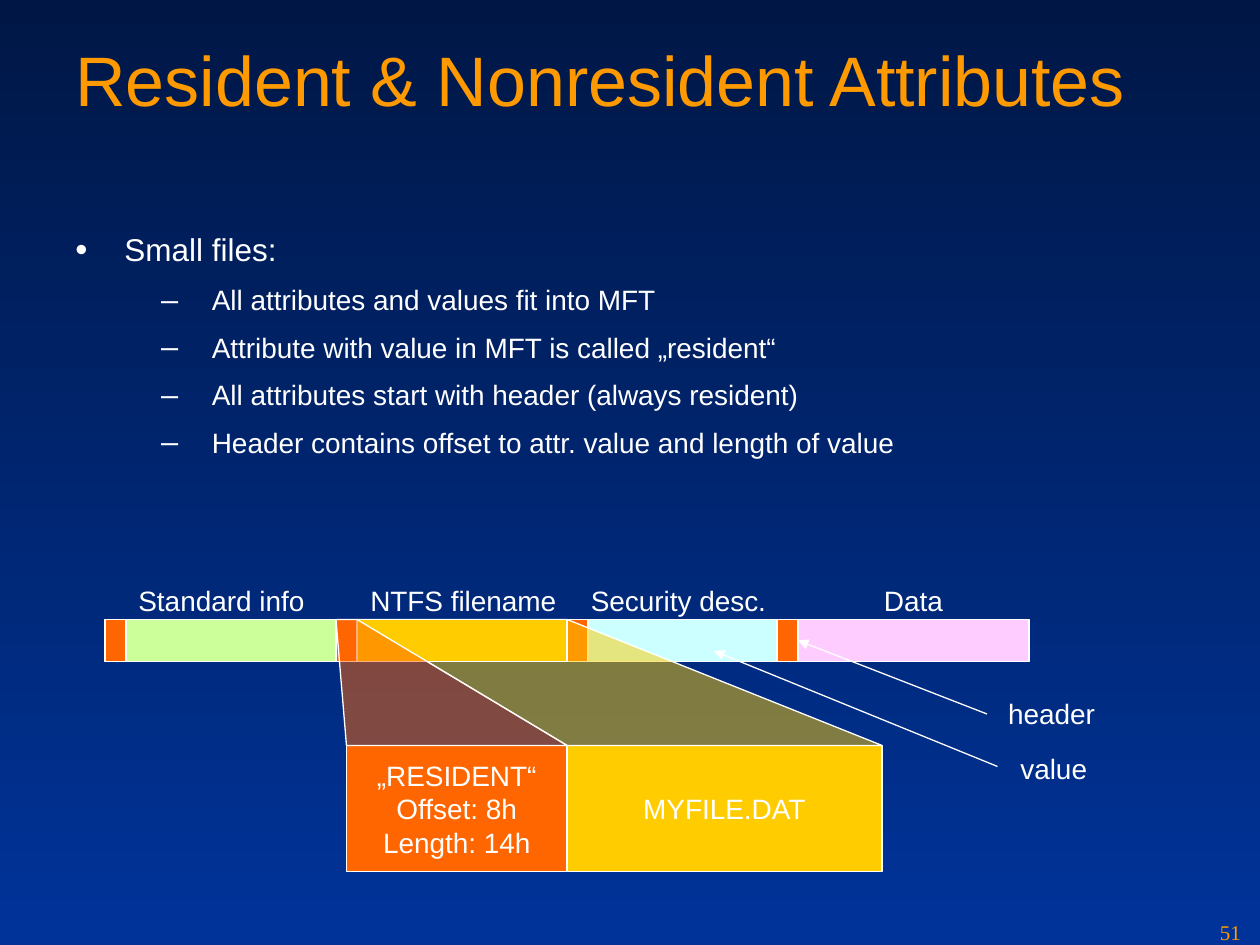
from lxml import etree
from pptx import Presentation
from pptx import util as u
from pptx.dml.color import RGBColor
from pptx.enum import shapes, text
from pptx.oxml.ns import qn

WHITE, AMBER, ORANGE, YELLOW = "FFFFFF", "FE9900", "FF6600", "FFCC00"


def rgb(hex_color):
    return RGBColor.from_string(hex_color)


class Sketch:
    """Draws styled elements on the current slide, measured in points."""

    font, size, ink, stroke = "Arial", 16, WHITE, 0.75

    def __init__(self, slide):
        self.slide = slide

    def background(self, top, bottom):
        fill = self.slide.background.fill
        fill.gradient()
        fill.gradient_angle = 270
        for stop, color in zip(fill.gradient_stops, (top, bottom)):
            stop.color.rgb = rgb(color)

    def run(self, paragraph, words, size=None, color=None, font=None):
        run = paragraph.add_run()
        run.text = words
        run.font.size = u.Pt(size or self.size)
        run.font.name = font or self.font
        run.font.color.rgb = rgb(color or self.ink)

    def box(self, left, top, width, height, wrap=True):
        frame = self.slide.shapes.add_textbox(*map(u.Pt, (left, top, width, height))).text_frame
        frame.word_wrap = wrap
        return frame

    def label(self, words, left, top, width, height=26.5, wrap=False, **style):
        frame = self.box(left, top, width, height, wrap)
        self.run(frame.paragraphs[0], words, **style)

    def bullet(self, paragraph, words, mark, margin, hang, gap, level=0, size=None):
        paragraph.level = level
        paragraph.space_before = paragraph.space_after = u.Pt(gap)
        props = paragraph._p.get_or_add_pPr()
        props.set("marL", str(u.Pt(margin)))
        props.set("indent", str(-u.Pt(hang)))
        mark_color = etree.SubElement(props, qn("a:buClr"))
        etree.SubElement(mark_color, qn("a:srgbClr"), val=self.ink)
        etree.SubElement(props, qn("a:buSzPct"), val="110000")
        etree.SubElement(props, qn("a:buFont"), typeface=self.font)
        etree.SubElement(props, qn("a:buChar"), char=mark)
        self.run(paragraph, words, size)

    def paint(self, shape, color):
        shape.shadow.inherit = False
        shape.fill.solid()
        shape.fill.fore_color.rgb = rgb(color)
        shape.line.color.rgb = rgb(self.ink)
        shape.line.width = u.Pt(self.stroke)

    def block(self, left, top, width, height, color, lines=()):
        shape = self.slide.shapes.add_shape(
            shapes.MSO_SHAPE.RECTANGLE, *map(u.Pt, (left, top, width, height)))
        self.paint(shape, color)
        frame = shape.text_frame
        frame.word_wrap = False
        frame.vertical_anchor = text.MSO_ANCHOR.MIDDLE
        paragraph = frame.paragraphs[0]
        paragraph.alignment = text.PP_ALIGN.CENTER
        for index, line in enumerate(lines):
            if index:
                paragraph.add_line_break()
            self.run(paragraph, line)

    def beam(self, corners, color, opacity=50):
        start, *others = [(u.Pt(x), u.Pt(y)) for x, y in corners]
        builder = self.slide.shapes.build_freeform(*start)
        builder.add_line_segments(others, close=True)
        shape = builder.convert_to_shape()
        self.paint(shape, color)
        fill_color = shape._element.spPr.find(qn("a:solidFill")).find(qn("a:srgbClr"))
        etree.SubElement(fill_color, qn("a:alpha"), val=str(opacity * 1000))

    def arrow(self, start, end):
        line = self.slide.shapes.add_connector(
            shapes.MSO_CONNECTOR.STRAIGHT, *map(u.Pt, (*start, *end)))
        line.line.color.rgb = rgb(self.ink)
        line.line.width = u.Pt(self.stroke)
        props = line._element.spPr
        etree.SubElement(props.find(qn("a:ln")), qn("a:tailEnd"), type="triangle")
        etree.SubElement(props, qn("a:effectLst"))


def main():
    deck = Presentation()
    deck.slide_width, deck.slide_height = u.Pt(720), u.Pt(540)
    sketch = Sketch(deck.slides.add_slide(deck.slide_layouts[6]))
    sketch.background("001746", "003399")
    sketch.label("Resident & Nonresident Attributes", 36, 17.5, 648, 90,
                 wrap=True, size=40, color=AMBER)

    body = sketch.box(36, 128, 648, 171.5)
    sketch.bullet(body.paragraphs[0], "Small files:", "•", 28, 28, 4.5, size=18)
    for point in (
        "All attributes and values fit into MFT",
        "Attribute with value in MFT is called „resident“",
        "All attributes start with header (always resident)",
        "Header contains offset to attr. value and length of value",
    ):
        sketch.bullet(body.add_paragraph(), point, "–", 78, 29, 4, level=1)

    record_top, record_height, header_width = 354, 24, 12
    detail_top, detail_height = 426, 72
    info, filename, security, data, record_end = 60, 192, 324, 444, 588
    detail_left, detail_split, detail_right = 198, 324, 504

    for name, left, width in (
        ("NTFS filename", 204.5, 121),
        ("Standard info", 72, 109.5),
        ("Security desc.", 330.5, 114.5),
        ("Data", 498, 48),
    ):
        sketch.label(name, left, 330, width)

    def attribute(left, right, color):
        sketch.block(left, record_top, right - left, record_height, color)
        sketch.block(left, record_top, header_width, record_height, ORANGE)

    def zoom(left, right, detail_start, detail_end, color):
        sketch.beam([(left, record_top), (detail_start, detail_top),
                     (detail_end, detail_top), (right, record_top)], color)

    attribute(info, filename, "CCFF99")
    attribute(security, data, "CCFFFF")
    attribute(data, record_end, "FFCCFF")
    sketch.block(detail_split, detail_top, detail_right - detail_split, detail_height,
                 YELLOW, ["MYFILE.DAT"])
    sketch.block(detail_left, detail_top, detail_split - detail_left, detail_height,
                 ORANGE, ["„RESIDENT“", "Offset: 8h", "Length: 14h"])
    value_start = filename + header_width
    zoom(value_start, security, detail_split, detail_right, YELLOW)
    attribute(filename, security, YELLOW)
    zoom(filename, value_start, detail_left, detail_split, ORANGE)

    sketch.label("header", 569, 394.5, 64)
    sketch.arrow((564, 408), (456, 366))
    sketch.label("value", 576, 426, 52.5)
    sketch.arrow((570, 438), (408, 372))
    sketch.label("51", 690, 522, 30, 18, wrap=True, size=12, color=AMBER,
                 font="Times New Roman")
    deck.save("out.pptx")


if __name__ == "__main__":
    main()
